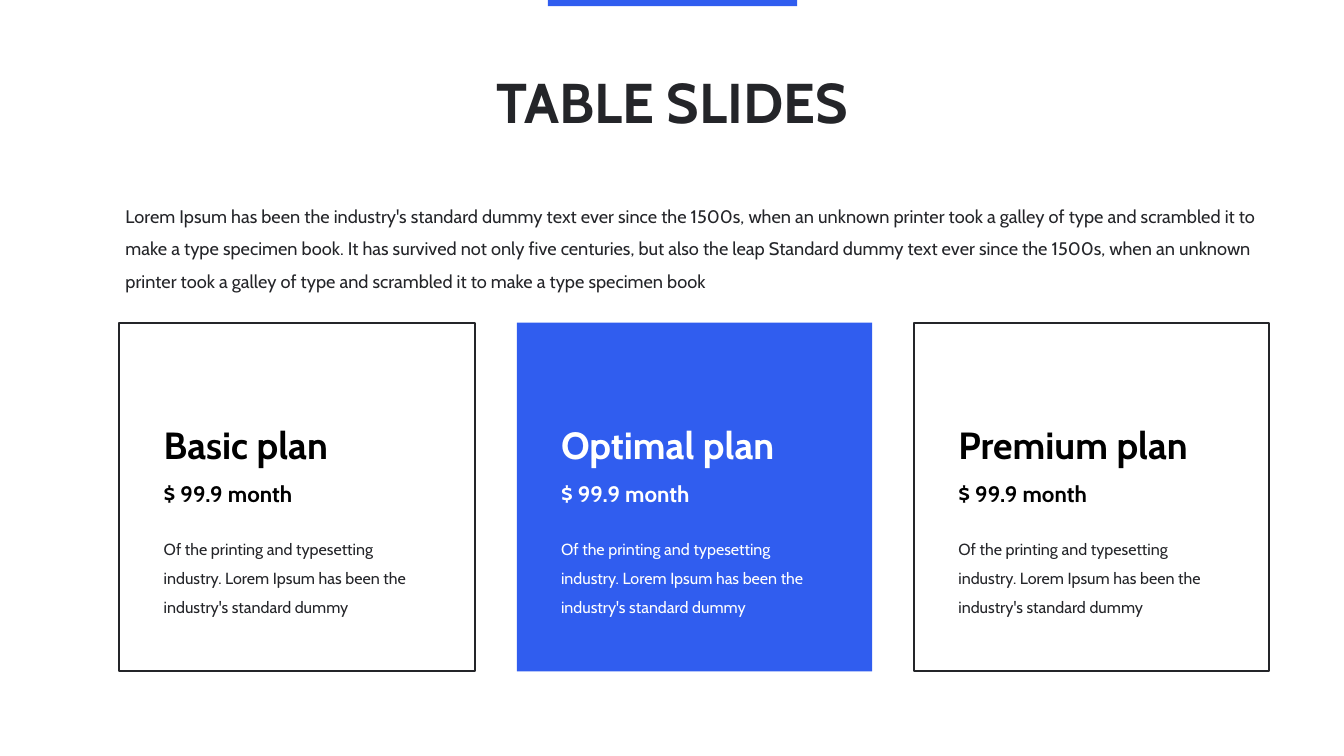
"""Build the pricing slide with three plan cards."""
from dataclasses import dataclass

from lxml.etree import SubElement
from pptx import Presentation
from pptx.dml.color import RGBColor
from pptx.enum.shapes import MSO_SHAPE as Shape
from pptx.enum.text import MSO_ANCHOR as Anchor, MSO_AUTO_SIZE as AutoSize, PP_ALIGN as Align
from pptx.oxml.ns import qn
from pptx.util import Inches, Pt

TITLE = "TABLE SLIDES"
INTRO = (
    "Lorem Ipsum has been the industry's standard dummy text ever since the 1500s, "
    "when an unknown printer took a galley of type and scrambled it to make a type "
    "specimen book. It has survived not only five centuries, but also the leap Standard "
    "dummy text ever since the 1500s, when an unknown printer took a galley of type and "
    "scrambled it to make a type specimen book"
)
PRICE = "$ 99.9 month"
DETAIL = (
    "Of the printing and typesetting industry. "
    "Lorem Ipsum has been the industry's standard dummy"
)
PLANS = [
    {"name": "Basic plan", "featured": False},
    {"name": "Optimal plan", "featured": True},
    {"name": "Premium plan", "featured": False},
]


@dataclass(frozen=True)
class Theme:
    """Hold the font, colours and type sizes."""
    font: str = "Cabin"
    accent: str = "305DEF"
    ink: str = "242529"
    black: str = "000000"
    white: str = "FFFFFF"
    title: int = 80
    intro: int = 26
    plan: int = 54
    price: int = 32
    detail: int = 23
    outline: int = 3


THEME = Theme()
SLIDE_WIDTH, SLIDE_HEIGHT = 26.67, 15
CARD_LEFT, CARD_TOP, CARD_WIDTH, CARD_HEIGHT = 2.37, 6.4, 7.05, 6.92
CARD_GAP = 0.835
TEXT_INDENT, TEXT_TOP, TEXT_WIDTH, TEXT_HEIGHT = 0.78, 8.05, 5.53, 4.25


def place(shape, left, top, width, height):
    """Move and size a shape in inches."""
    shape.left, shape.top = Inches(left), Inches(top)
    shape.width, shape.height = Inches(width), Inches(height)


def prepare(frame):
    """Make a text frame wrap from the top without shrinking."""
    frame.word_wrap = True
    frame.auto_size = AutoSize.NONE
    frame.vertical_anchor = Anchor.TOP


def write(para, text, size, color, bold=False, align=Align.LEFT, spacing=1.0, before=0):
    """Fill a paragraph with one formatted run and no bullet."""
    properties = para._p.get_or_add_pPr()
    properties.set("marL", "0")
    properties.set("indent", "0")
    SubElement(properties, qn("a:buNone"))
    para.alignment = align
    para.line_spacing = spacing
    para.space_before = Pt(before)
    span = para.add_run()
    span.text = text
    span.font.name = THEME.font
    span.font.size = Pt(size)
    span.font.bold = bold
    span.font.color.rgb = RGBColor.from_string(color)


def add_panel(page, kind, bounds, fill=None, line=None):
    """Add a flat panel with an optional fill and outline."""
    panel = page.shapes.add_shape(kind, *map(Inches, bounds))
    panel.shadow.inherit = False
    if fill:
        panel.fill.solid()
        panel.fill.fore_color.rgb = RGBColor.from_string(fill)
    else:
        panel.fill.background()
    if line:
        panel.line.color.rgb = RGBColor.from_string(line)
        panel.line.width = Pt(THEME.outline)
    else:
        panel.line.fill.background()
    return panel


def add_card(page, left, name, featured):
    """Add one plan card with its name, price and detail."""
    card = add_panel(
        page, Shape.ROUNDED_RECTANGLE, (left, CARD_TOP, CARD_WIDTH, CARD_HEIGHT),
        fill=THEME.accent if featured else None,
        line=None if featured else THEME.ink,
    )
    card.adjustments[0] = 0
    bounds = (left + TEXT_INDENT, TEXT_TOP, TEXT_WIDTH, TEXT_HEIGHT)
    frame = page.shapes.add_textbox(*map(Inches, bounds)).text_frame
    prepare(frame)
    strong = THEME.white if featured else THEME.black
    soft = THEME.white if featured else THEME.ink
    write(frame.paragraphs[0], name, THEME.plan, strong, bold=True, spacing=1.3)
    write(frame.add_paragraph(), PRICE, THEME.price, strong, bold=True, spacing=1.3, before=6.4)
    write(frame.add_paragraph(), DETAIL, THEME.detail, soft, spacing=1.5, before=33)


def main():
    """Build and save the deck."""
    deck = Presentation()
    deck.slide_width, deck.slide_height = Inches(SLIDE_WIDTH), Inches(SLIDE_HEIGHT)
    page = deck.slides.add_slide(deck.slide_layouts[1])
    add_panel(page, Shape.RECTANGLE, (10.87, 0, 4.95, 0.12), fill=THEME.accent)

    title, intro = page.shapes.title, page.placeholders[1]
    place(title, 1.75, 1.28, 23.18, 1.39)
    place(intro, 2.39, 3.8, 22.84, 2.2)
    for box in (title, intro):
        prepare(box.text_frame)
    write(title.text_frame.paragraphs[0], TITLE, THEME.title, THEME.ink,
          bold=True, align=Align.CENTER)
    write(intro.text_frame.paragraphs[0], INTRO, THEME.intro, THEME.ink, spacing=1.5)

    for index, plan in enumerate(PLANS):
        add_card(page, CARD_LEFT + index * (CARD_WIDTH + CARD_GAP), **plan)
    deck.save("out.pptx")


if __name__ == "__main__":
    main()
